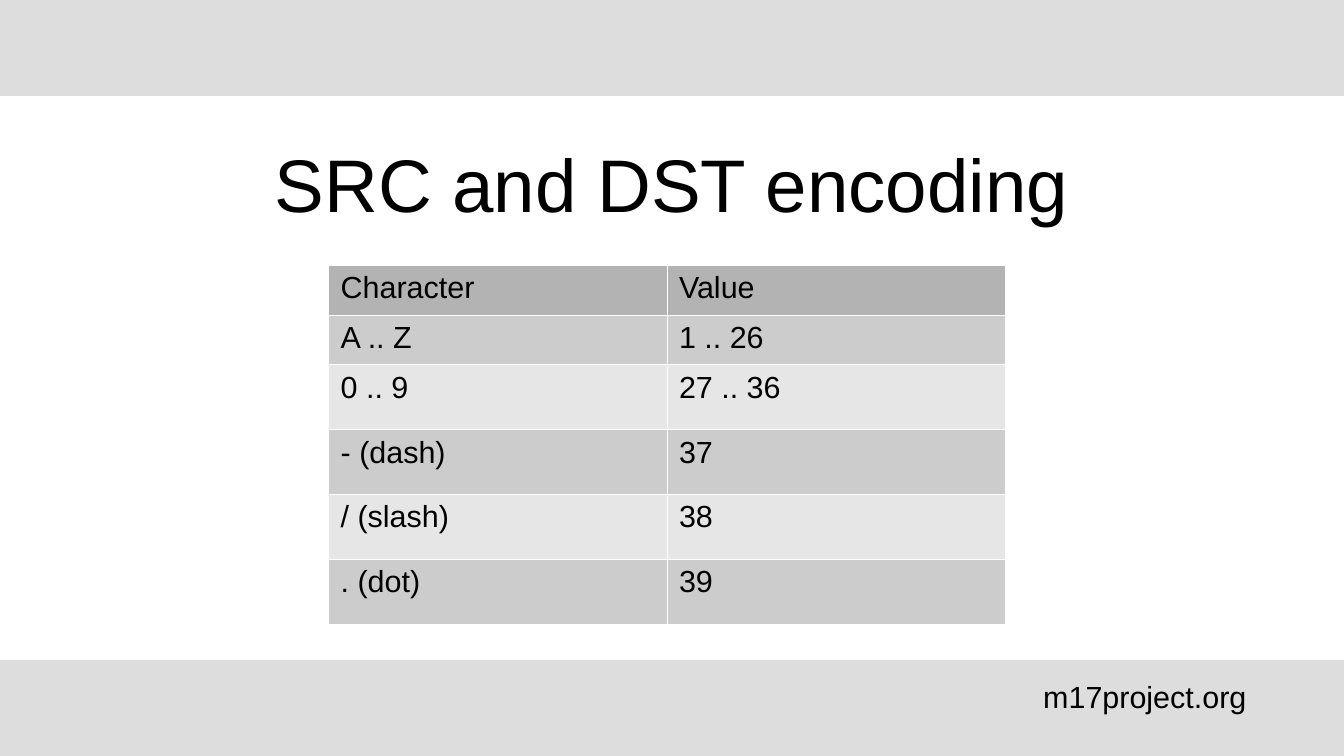
from lxml import etree
from pptx import Presentation
from pptx.dml.color import RGBColor
from pptx.enum.shapes import MSO_SHAPE
from pptx.enum.text import MSO_ANCHOR, PP_ALIGN
from pptx.oxml.ns import qn
from pptx.util import Pt

RECTANGLE = MSO_SHAPE.RECTANGLE
MIDDLE, TOP = MSO_ANCHOR.MIDDLE, MSO_ANCHOR.TOP
LEFT, CENTER = PP_ALIGN.LEFT, PP_ALIGN.CENTER

SLIDE_WIDTH, SLIDE_HEIGHT = 793.7, 446.46
BAND_HEIGHT = 56.7
FONT = "Arial"
BLACK, WHITE, BAND_GRAY = "000000", "FFFFFF", "DDDDDD"
HEADER_GRAY, DARK_ROW, LIGHT_ROW = "B3B3B3", "CCCCCC", "E6E6E6"

ENCODING = [
    ("Character", "Value"),
    ("A .. Z", "1 .. 26"),
    ("0 .. 9", "27 .. 36"),
    ("- (dash)", "37"),
    ("/ (slash)", "38"),
    (". (dot)", "39"),
]
COLUMN_WIDTH = 199.8
ROW_HEIGHTS = [29.5] * 2 + [38.3] * 4


def color(hex_string):
    return RGBColor.from_string(hex_string)


def set_text(text_frame, text, size, alignment=LEFT):
    text_frame.text = text
    paragraph = text_frame.paragraphs[0]
    paragraph.alignment = alignment
    font = paragraph.runs[0].font
    font.name = FONT
    font.size = Pt(size)
    font.bold = False
    font.color.rgb = color(BLACK)


def add_band(slide, top):
    band = slide.shapes.add_shape(RECTANGLE, Pt(0), Pt(top), Pt(SLIDE_WIDTH), Pt(BAND_HEIGHT))
    band.shadow.inherit = False
    band.fill.solid()
    band.fill.fore_color.rgb = color(BAND_GRAY)
    band.line.fill.background()


def add_label(slide, box, text, size, alignment=LEFT, anchor=TOP):
    """Add a text box; box holds left, top, width and height in points."""
    label = slide.shapes.add_textbox(*(Pt(length) for length in box))
    label.text_frame.word_wrap = True
    label.text_frame.vertical_anchor = anchor
    set_text(label.text_frame, text, size, alignment)


def set_borders(cell, hex_string, width):
    properties = cell._tc.get_or_add_tcPr()
    for index, side in enumerate(("lnL", "lnR", "lnT", "lnB")):
        line = etree.Element(qn(f"a:{side}"), w=str(Pt(width)))
        fill = etree.SubElement(line, qn("a:solidFill"))
        etree.SubElement(fill, qn("a:srgbClr"), val=hex_string)
        properties.insert(index, line)


def row_color(row_index):
    if row_index == 0:
        return HEADER_GRAY
    return DARK_ROW if row_index % 2 else LIGHT_ROW


def add_encoding_table(slide, left, top):
    column_count = len(ENCODING[0])
    table = slide.shapes.add_table(
        len(ENCODING), column_count, Pt(left), Pt(top),
        Pt(COLUMN_WIDTH * column_count), Pt(sum(ROW_HEIGHTS)),
    ).table
    for column in table.columns:
        column.width = Pt(COLUMN_WIDTH)
    for row_index, values in enumerate(ENCODING):
        table.rows[row_index].height = Pt(ROW_HEIGHTS[row_index])
        for column_index, value in enumerate(values):
            cell = table.cell(row_index, column_index)
            cell.fill.solid()
            cell.fill.fore_color.rgb = color(row_color(row_index))
            set_borders(cell, WHITE, 0.06)
            set_text(cell.text_frame, value, 18)


def main():
    presentation = Presentation()
    presentation.slide_width = Pt(SLIDE_WIDTH)
    presentation.slide_height = Pt(SLIDE_HEIGHT)
    slide = presentation.slides.add_slide(presentation.slide_layouts[6])

    add_label(slide, (39.7, 70.6, 714.3, 74.9), "SRC and DST encoding", 44, CENTER, MIDDLE)
    for top in (0, SLIDE_HEIGHT - BAND_HEIGHT):
        add_band(slide, top)
    add_label(slide, (609, 396.8, 184, 34), "m17project.org", 18)
    add_encoding_table(slide, 194, 156.3)

    presentation.save("out.pptx")


if __name__ == "__main__":
    main()
